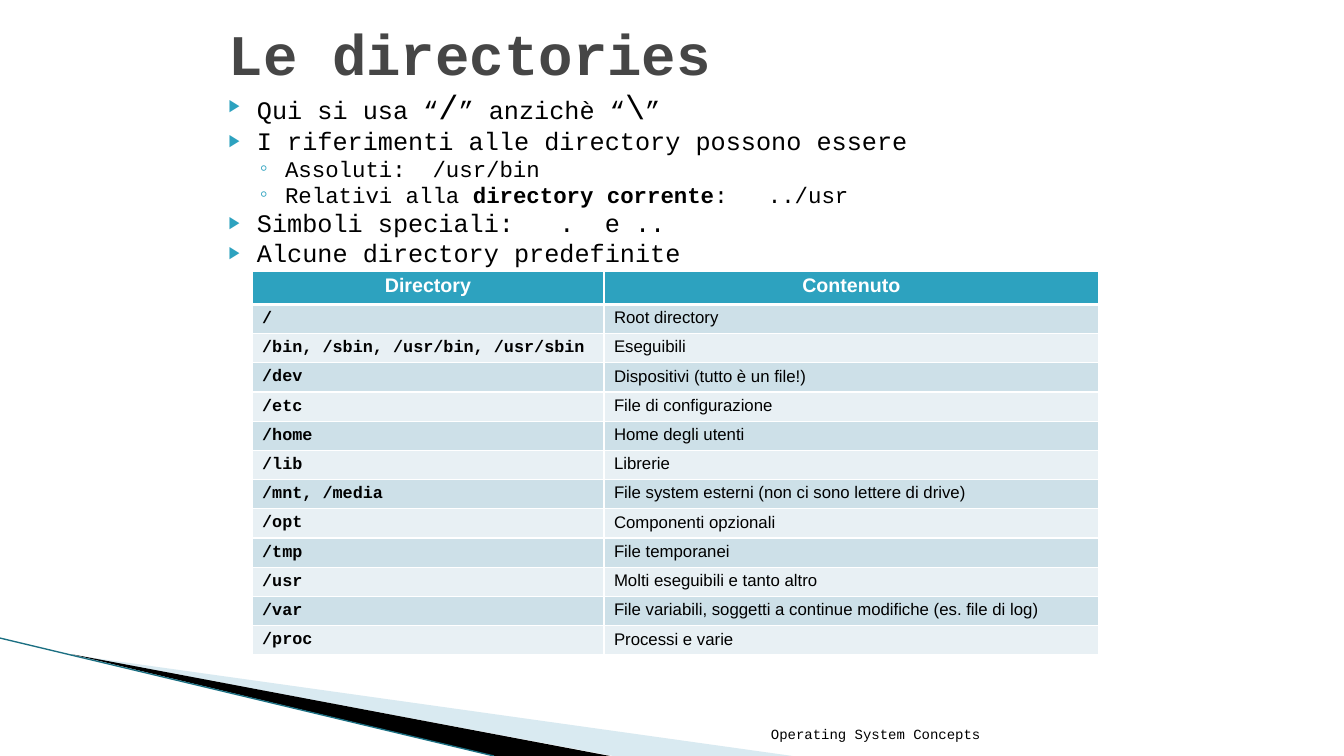
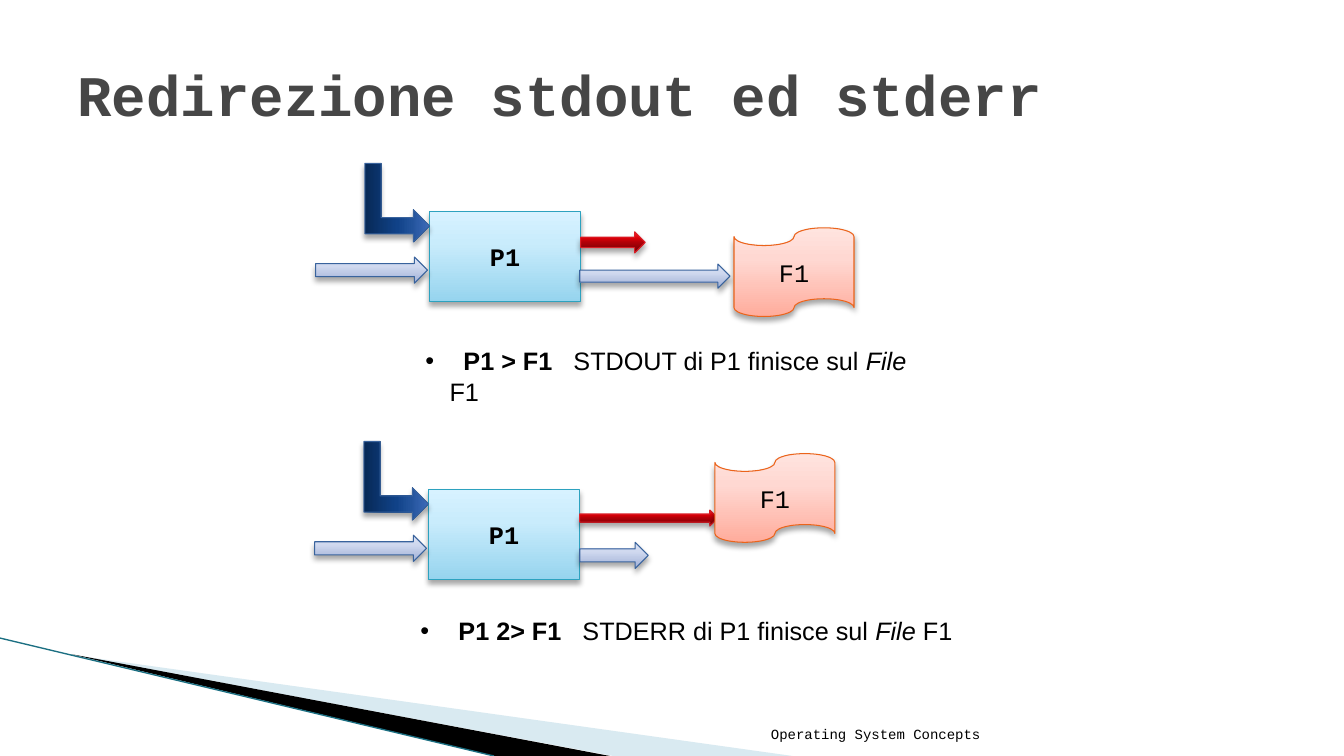
from pptx import Presentation
from pptx import util as u
from pptx.dml.color import RGBColor
from pptx.enum import shapes, text
from pptx.oxml import parse_xml
from pptx.oxml.ns import qn

NS = 'xmlns:a="http://schemas.openxmlformats.org/drawingml/2006/main"'
MONO, SANS = "Courier New", "Arial"
BLACK, WHITE, TEAL, GREY = "000000", "FFFFFF", "2DA2BF", "464646"
FOOTER = "Operating System Concepts"
SHAPE, ALIGN, ANCHOR = shapes.MSO_SHAPE, text.PP_ALIGN, text.MSO_ANCHOR

WEDGES = [
    ([(0.73, 6.5), (7.86, 7.5), (6.08, 7.5)], "A0CBDC", 40),
    ([(0.71, 6.49), (6.05, 7.5), (4.9, 7.5)], BLACK, 100),
]
POINTS = [
    (0, [("Qui si usa “", 18), ("/", 24), ("” anzichè “", 18), ("\\", 24), ("”", 18)]),
    (0, [("I riferimenti alle directory possono essere", 18)]),
    (1, [("Assoluti:  /usr/bin", 16)]),
    (1, [("Relativi alla ", 16), ("directory corrente", 16, "b"), (":   ../usr", 16)]),
    (0, [("Simboli speciali:   .  e ..", 18)]),
    (0, [("Alcune directory predefinite", 18)]),
]
LEVELS = [
    {"mark": "▶", "left": 0.4, "hang": 0.28, "size": 68, "before": 4},
    {"mark": "◦", "left": 0.68, "hang": 0.25, "size": 100, "before": 3.2},
]
ROWS = [
    ("Directory", "Contenuto"),
    ("/", "Root directory"),
    ("/bin, /sbin, /usr/bin, /usr/sbin", "Eseguibili"),
    ("/dev", "Dispositivi (tutto è un file!)"),
    ("/etc", "File di configurazione"),
    ("/home", "Home degli utenti"),
    ("/lib", "Librerie"),
    ("/mnt, /media", "File system esterni (non ci sono lettere di drive)"),
    ("/opt", "Componenti opzionali"),
    ("/tmp", "File temporanei"),
    ("/usr", "Molti eseguibili e tanto altro"),
    ("/var", "File variabili, soggetti a continue modifiche (es. file di log)"),
    ("/proc", "Processi e varie"),
]
COLS = (3.49, 4.91)
STYLES = {
    "process": ([(0, "96D4EE"), (65, "C9ECFC"), (100, "D7F2FF")], TEAL),
    "navy": ([(0, "072956"), (50, "104288"), (70, "205199"), (100, "3D6BB9")], "39639D"),
    "pale": ([(0, "9FAFD6"), (65, "D0D9EF"), (100, "DCE3F6")], "39639D"),
    "red": ([(0, "6D0005"), (50, "B00008"), (70, "DA0008"), (100, "FF2429")], "DA1F28"),
    "file": ([(0, "FFAC9C"), (65, "FFD8D2"), (100, "FFE4DF")], "EB641B"),
}
FLOWS = [
    {"at": (4.26, 2.1), "out": (5.75, 2.62, 1.49, 0.24), "err": (5.76, 2.3, 0.64, 0.21),
     "file": (7.28, 2.26), "note": (4.12, 3.38, 5.3, 0.4),
     "runs": ("  P1 > F1 ", "  STDOUT di P1 finisce sul ")},
    {"at": (4.25, 4.86), "out": (5.75, 5.38, 0.68, 0.26), "err": (5.75, 5.06, 1.37, 0.16),
     "file": (7.09, 4.5), "note": (4.07, 6.06, 6.99, 0.4),
     "runs": ("  P1 2> F1 ", "  STDERR di P1 finisce sul ")},
]


def rgb(hue):
    return RGBColor.from_string(hue)


def inch(vals):
    return [u.Inches(v) for v in vals]


def write(para, runs, font, hue=BLACK):
    for words, size, *flags in runs:
        run = para.add_run()
        run.text = words
        run.font.size, run.font.name = u.Pt(size), font
        run.font.bold, run.font.italic = "b" in flags, "i" in flags
        run.font.color.rgb = rgb(hue)


def bullet(para, mark, left, hang, size=100, hue=BLACK):
    props = para._p.get_or_add_pPr()
    props.set("marL", str(u.Inches(left)))
    props.set("indent", str(-u.Inches(hang)))
    for xml in (f'<a:buClr {NS}><a:srgbClr val="{hue}"/></a:buClr>',
                f'<a:buSzPct {NS} val="{size * 1000}"/>',
                f'<a:buFont {NS} typeface="{SANS}"/>',
                f'<a:buChar {NS} char="{mark}"/>'):
        props.append(parse_xml(xml))


def label(slide, at, runs, font, hue=BLACK, align=ALIGN.LEFT, anchor=ANCHOR.TOP):
    frame = slide.shapes.add_textbox(*inch(at)).text_frame
    frame.word_wrap, frame.vertical_anchor = True, anchor
    para = frame.paragraphs[0]
    para.alignment = align
    write(para, runs, font, hue)
    return frame


def base(deck, title, at):
    slide = deck.slides.add_slide(deck.slide_layouts[6])
    for pts, hue, alpha in WEDGES:
        pts = [inch(p) for p in pts]
        path = slide.shapes.build_freeform(*pts[0])
        path.add_line_segments(pts[1:])
        wedge = path.convert_to_shape()
        wedge.shadow.inherit = False
        wedge.line.fill.background()
        wedge.fill.solid()
        wedge.fill.fore_color.rgb = rgb(hue)
        tint = wedge._element.spPr.find(".//" + qn("a:srgbClr"))
        tint.append(parse_xml(f'<a:alpha {NS} val="{alpha * 1000}"/>'))
    edge = slide.shapes.add_connector(shapes.MSO_CONNECTOR.STRAIGHT, *inch((0, 6.33, 4.9, 7.5)))
    edge.line.color.rgb, edge.line.width = rgb("1B6F82"), u.Pt(0.95)
    edge._element.spPr.append(parse_xml(f"<a:effectLst {NS}/>"))
    label(slide, at, [(title, 41, "b")], MONO, GREY, anchor=ANCHOR.MIDDLE)
    label(slide, (6.39, 7.01, 3.43, 0.4), [(FOOTER, 10)], MONO,
          align=ALIGN.RIGHT, anchor=ANCHOR.BOTTOM)
    return slide


def border(cell, top, bottom):
    props = cell._tc.get_or_add_tcPr()
    for i, (side, wide) in enumerate(zip("LRTB", (1, 1, top, bottom))):
        props.insert(i, parse_xml(
            f'<a:ln{side} {NS} w="{u.Pt(wide)}"><a:solidFill><a:srgbClr val="{WHITE}"/>'
            f'</a:solidFill></a:ln{side}>'))


def listing(slide):
    tall = [0.33] + [0.29] * (len(ROWS) - 1)
    grid = slide.shapes.add_table(len(ROWS), 2, *inch((2.5, 2.69, sum(COLS), sum(tall)))).table
    grid.horz_banding = False
    for col, wide in zip(grid.columns, COLS):
        col.width = u.Inches(wide)
    for r, row in enumerate(ROWS):
        grid.rows[r].height = u.Inches(tall[r])
        for c, words in enumerate(row):
            cell = grid.cell(r, c)
            cell.margin_top = cell.margin_bottom = u.Inches(0.04)
            para = cell.text_frame.paragraphs[0]
            cell.fill.solid()
            if r == 0:
                hue = TEAL
                para.alignment = ALIGN.CENTER
                write(para, [(words, 14, "b")], SANS, WHITE)
            else:
                hue = "CDE0E8" if r % 2 else "E8F0F4"
                para.alignment = ALIGN.JUSTIFY if c else ALIGN.LEFT
                cell.vertical_anchor = ANCHOR.TOP if c else ANCHOR.MIDDLE
                write(para, [(words, 12, "" if c else "b")], SANS if c else MONO)
            cell.fill.fore_color.rgb = rgb(hue)
            border(cell, 3 if r == 1 else 1, 3 if r == 0 else 1)


def block(home, kind, at, style, run=None):
    stops, edge = STYLES[style]
    item = home.add_shape(kind, *inch(at))
    item.line.color.rgb, item.line.width = rgb(edge), u.Pt(0.75)
    item.shadow.inherit = False
    props = item._element.spPr
    marks = "".join(f'<a:gs pos="{p * 1000}"><a:srgbClr val="{h}"/></a:gs>' for p, h in stops)
    props.insert(2, parse_xml(
        f'<a:gradFill {NS} rotWithShape="1"><a:gsLst>{marks}</a:gsLst>'
        '<a:lin ang="16200000" scaled="0"/></a:gradFill>'))
    props.find(qn("a:effectLst")).append(parse_xml(
        f'<a:outerShdw {NS} blurRad="{u.Pt(4)}" dist="{u.Pt(3)}" dir="5400000" rotWithShape="0">'
        f'<a:srgbClr val="{BLACK}"><a:alpha val="35000"/></a:srgbClr></a:outerShdw>'))
    if run:
        item.text_frame.vertical_anchor = ANCHOR.MIDDLE
        para = item.text_frame.paragraphs[0]
        para.alignment = ALIGN.CENTER
        write(para, [run], MONO)
    return item


def flow(slide, data):
    x, y = data["at"]
    group = slide.shapes.add_group_shape().shapes
    block(group, SHAPE.RECTANGLE, (x, y, 1.5, 0.89), "process", ("P1", 18, "b"))
    bent = block(group, SHAPE.BENT_UP_ARROW, (x - 0.71, y - 0.41, 0.78, 0.64), "navy")
    bent.rotation = 90
    inlet = (x - 1.13, y + 0.45, 1.11, 0.26)
    for at, style in ((inlet, "pale"), (data["out"], "pale"), (data["err"], "red")):
        block(group, SHAPE.RIGHT_ARROW, at, style)
    lead, rest = data["runs"]
    runs = [(lead, 18, "b"), (rest, 18), ("File ", 18, "i"), ("F1", 18)]
    note = label(slide, data["note"], runs, SANS)
    bullet(note.paragraphs[0], "•", 0.24, 0.24)
    block(slide.shapes, SHAPE.FLOWCHART_PUNCHED_TAPE,
          (*data["file"], 1.19, 0.88), "file", ("F1", 18))


def main():
    """Build the two slides and save the deck."""
    deck = Presentation()
    deck.slide_width, deck.slide_height = inch((13.33, 7.5))

    slide = base(deck, "Le directories", (2.17, -0.01, 9, 1.07))
    listing(slide)
    frame = label(slide, (2.05, 0.88, 9.3, 1.81), [], MONO)
    for i, (level, runs) in enumerate(POINTS):
        para = frame.add_paragraph() if i else frame.paragraphs[0]
        look = LEVELS[level]
        para.level, para.line_spacing = level, 0.8
        para.space_before = u.Pt(look["before"])
        bullet(para, look["mark"], look["left"], look["hang"], look["size"], TEAL)
        write(para, runs, MONO)

    slide = base(deck, "Redirezione stdout ed stderr", (0.67, 0.3, 12, 1.25))
    for data in FLOWS:
        flow(slide, data)
    deck.save("out.pptx")


if __name__ == "__main__":
    main()
